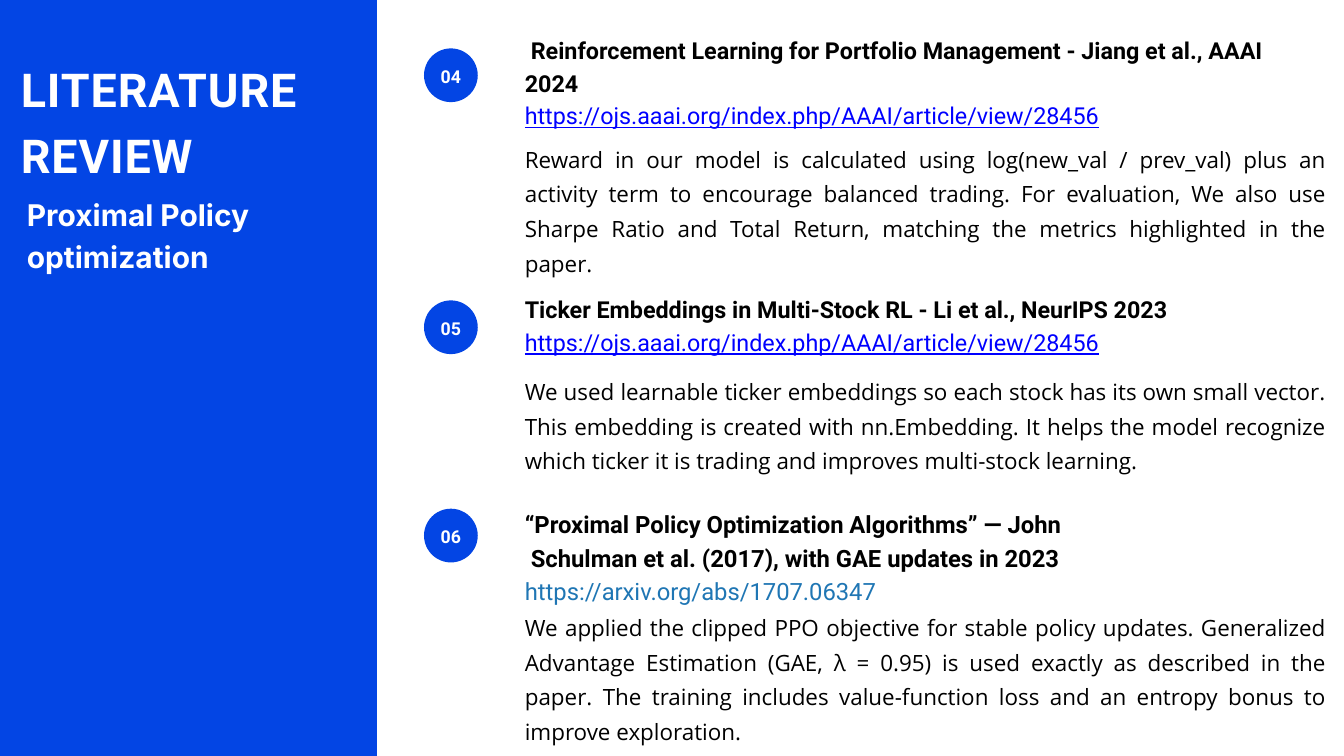
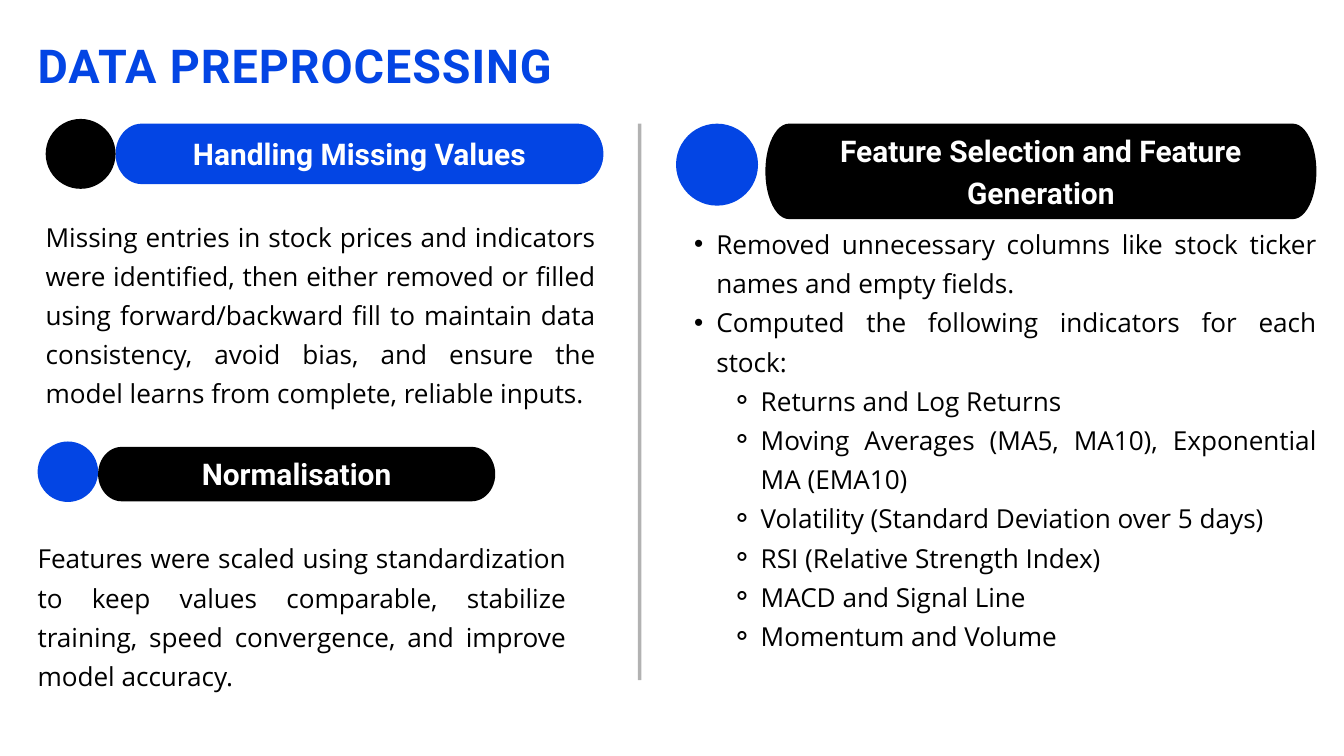
from lxml import etree
from pptx import Presentation
from pptx import util as u
from pptx.dml import color
from pptx.enum import shapes, text
from pptx.oxml import ns

# Shared look
BLUE, BLACK, WHITE = "0345E4", "000000", "FFFFFF"
HEADING, BODY, ACCENT = "Roboto", "Open Sans", "Inter"
LEFT, CENTER, JUSTIFY = (text.PP_ALIGN.LEFT, text.PP_ALIGN.CENTER,
                         text.PP_ALIGN.JUSTIFY)
hex_color = color.RGBColor.from_string

deck = Presentation()
deck.slide_width, deck.slide_height = u.Inches(20), u.Inches(11.25)
COLUMN = deck.slide_width // 20
ROW = deck.slide_height / 11.25


def grid(left, top, width, height):
    """Turn columns and rows into slide lengths."""
    return (int(left * COLUMN), int(top * ROW),
            int(width * COLUMN), int(height * ROW))


def write(frame, lines, size, spacing, font=BODY, ink=BLACK, bold=False,
          align=LEFT, anchor=text.MSO_ANCHOR.TOP, inset=0):
    """Fill a text frame with evenly styled paragraphs."""
    frame.word_wrap = True
    frame.auto_size = text.MSO_AUTO_SIZE.NONE
    frame.vertical_anchor = anchor
    frame.margin_left = frame.margin_right = u.Inches(inset)
    frame.margin_top = frame.margin_bottom = u.Inches(inset)
    frame.text = "\n".join(lines)
    for line in frame.paragraphs:
        line.alignment, line.line_spacing = align, u.Pt(spacing)
        line.space_before = u.Pt(0)
        line.font.name, line.font.size, line.font.bold = font, u.Pt(size), bold
        line.font.color.rgb = hex_color(ink)


review = deck.slides.add_slide(deck.slide_layouts[5])
preprocessing = deck.slides.add_slide(deck.slide_layouts[1])
painted = []

# Titles of both slides
for slide, title, area, ink in [
    (review, "LITERATURE REVIEW", (0.31, 0.77, 5, 1.9), WHITE),
    (preprocessing, "DATA PREPROCESSING", (0.56, 0.41, 11.78, 0.93), BLUE),
]:
    heading = slide.shapes.title
    heading.left, heading.top, heading.width, heading.height = grid(*area)
    write(heading.text_frame, [title], 50, 70, HEADING, ink, True)
    heading.text_frame.paragraphs[0].runs[0]._r.get_or_add_rPr().set("spc", "100")

# Review: side panel behind the title, with the topic below it
panel = review.shapes.add_shape(shapes.MSO_SHAPE.RECTANGLE,
                                *grid(0, 0, 5.61, 11.25))
review.shapes.element.insert(2, panel.element)
painted.append((panel, BLUE))
topic = review.shapes.add_textbox(*grid(0.4, 2.84, 5.43, 1.21))
write(topic.text_frame, ["Proximal Policy optimization"], 32, 44.8,
      ACCENT, WHITE, True)

# Review: numbered papers (badge top, reference top, summary top, size,
# reference lines, the line that is indented, summary)
papers = [
    ("04", 0.72, 0.47, 2.05, 25,
     ["Reinforcement Learning for Portfolio Management - Jiang et al., AAAI 2024",
      "https://ojs.aaai.org/index.php/AAAI/article/view/28456"], 0,
     "Reward in our model is calculated using log(new_val / prev_val) plus an "
     "activity term to encourage balanced trading. For evaluation, We also use "
     "Sharpe Ratio and Total Return, matching the metrics highlighted in the "
     "paper."),
    ("05", 4.47, 4.33, 5.51, 25,
     ["Ticker Embeddings in Multi-Stock RL - Li et al., NeurIPS 2023",
      "https://ojs.aaai.org/index.php/AAAI/article/view/28456"], None,
     "We used learnable ticker embeddings so each stock has its own small "
     "vector. This embedding is created with nn.Embedding. It helps the model "
     "recognize which ticker it is trading and improves multi-stock learning."),
    ("06", 7.57, 7.52, 9.02, 25.45,
     ["“Proximal Policy Optimization Algorithms” — John",
      "Schulman et al. (2017), with GAE updates in 2023",
      "https://arxiv.org/abs/1707.06347"], 1,
     "We applied the clipped PPO objective for stable policy updates. "
     "Generalized Advantage Estimation (GAE, λ = 0.95) is used exactly as "
     "described in the paper. The training includes value-function loss and an "
     "entropy bonus to improve exploration."),
]
for (number, badge_top, reference_top, summary_top, size, lines, indented,
     finding) in papers:
    badge = review.shapes.add_shape(shapes.MSO_SHAPE.OVAL,
                                    *grid(6.31, badge_top, 0.8, 0.8))
    painted.append((badge, BLUE))
    write(badge.text_frame, [number], 19, 26.6, HEADING, WHITE, True,
          CENTER, text.MSO_ANCHOR.MIDDLE)
    badge.text_frame.margin_bottom = u.Inches(0.02)

    reference = review.shapes.add_textbox(*grid(7.81, reference_top, 11.46, 1.5))
    write(reference.text_frame, lines, size, size * 1.4, HEADING, bold=True)
    if indented is not None:
        start = reference.text_frame.paragraphs[indented]
        start._p.get_or_add_pPr().set("indent", str(u.Inches(0.09)))
    address = reference.text_frame.paragraphs[-1].font
    address.bold = False
    address.underline = number != "06"
    address.color.rgb = hex_color("1F76B4" if number == "06" else "0000FF")

    summary = review.shapes.add_textbox(*grid(7.81, summary_top, 11.92, 2.01))
    write(summary.text_frame, [finding], 24, 37.2, align=JUSTIFY)

# Preprocessing: divider
divider = preprocessing.shapes.add_connector(
    shapes.MSO_CONNECTOR.STRAIGHT,
    *grid(9.52, 1.84, 9.52, 10.12))
divider.line.width = u.Pt(3.75)
divider.line.color.rgb = hex_color(BLACK)
shade = divider.element.find(".//" + ns.qn("a:srgbClr"))
etree.SubElement(shade, ns.qn("a:alpha"), val="30000")
etree.SubElement(divider.element.spPr, ns.qn("a:effectLst"))

# Preprocessing: dot and round-ended band for each step
steps = [
    ("Handling Missing Values", (1.72, 1.84, 7.26, 0.9), 0.39, BLUE,
     (0.68, 1.77, 1.04), BLACK),
    ("Normalisation", (1.46, 6.65, 5.91, 0.81), 0.35, BLACK,
     (0.56, 6.57, 0.9), BLUE),
    ("Feature Selection and Feature Generation", (11.39, 1.84, 8.2, 1.42), 0.35,
     BLACK, (10.06, 1.84, 1.22), BLUE),
]
for step, area, bulge, band_fill, (dot_left, dot_top, diameter), dot_fill in steps:
    left, top, width, height = grid(*area)
    right, bottom, half = left + width, top + height, height // 2
    curve = int(bulge * COLUMN)
    outline = preprocessing.shapes.build_freeform(right - curve, top)
    outline.add_line_segments([
        (right, top + half), (right - curve, bottom), (left + curve, bottom),
        (left, top + half), (left + curve, top)])
    band = outline.convert_to_shape()
    # Bend the four slanted edges into quarter ellipses
    edges = band.element.findall(".//" + ns.qn("a:lnTo"))
    for edge, angle in zip(edges[:2] + edges[3:5], (270, 0, 90, 180)):
        arc = etree.Element(ns.qn("a:arcTo"), wR=str(curve), hR=str(half),
                            stAng=str(angle * 60000), swAng=str(90 * 60000))
        edge.getparent().replace(edge, arc)
    write(band.text_frame, [step], 32, 44.8, HEADING, WHITE, True,
          CENTER, text.MSO_ANCHOR.MIDDLE, 0.06)
    band.text_frame.margin_bottom = u.Inches(0.15)

    dot = preprocessing.shapes.add_shape(
        shapes.MSO_SHAPE.OVAL, *grid(dot_left, dot_top, diameter, diameter))
    painted += [(band, band_fill), (dot, dot_fill)]

# Preprocessing: explanations
for area, explanation in [
    ((0.68, 3.17, 8.18, 2.92),
     "Missing entries in stock prices and indicators were identified, then "
     "either removed or filled using forward/backward fill to maintain data "
     "consistency, avoid bias, and ensure the model learns from complete, "
     "reliable inputs."),
    ((0.56, 7.96, 7.86, 2.82),
     "Features were scaled using standardization to keep values comparable, "
     "stabilize training, speed convergence, and improve model accuracy."),
]:
    note = preprocessing.shapes.add_textbox(*grid(*area))
    write(note.text_frame, [explanation], 28, 42, align=JUSTIFY)

# Preprocessing: feature list, the indicators one level down
features = [
    "Removed unnecessary columns like stock ticker names and empty fields.",
    "Computed the following indicators for each stock:",
]
indicators = [
    "Returns and Log Returns",
    "Moving Averages (MA5, MA10), Exponential MA (EMA10)",
    "Volatility (Standard Deviation over 5 days)",
    "RSI (Relative Strength Index)",
    "MACD and Signal Line",
    "Momentum and Volume",
]
listing = preprocessing.placeholders[1]
listing.left, listing.top, listing.width, listing.height = grid(10, 3.28, 9.59, 6.82)
write(listing.text_frame, features + indicators, 28, 42, align=JUSTIFY)
for position, item in enumerate(listing.text_frame.paragraphs):
    item.level = int(position >= len(features))
    margin, hanging, mark = [(0.66, 0.33, "•"), (1.32, 0.44, "⚬")][item.level]
    properties = item._p.get_or_add_pPr()
    properties.set("marL", str(u.Inches(margin)))
    properties.set("indent", str(-u.Inches(hanging)))
    bullet = etree.Element(ns.qn("a:buChar"), char=mark)
    properties.find(ns.qn("a:defRPr")).addprevious(bullet)

# Flat fills for every panel, badge, band and dot
for shape, fill in painted:
    shape.shadow.inherit = False
    shape.fill.solid()
    shape.fill.fore_color.rgb = hex_color(fill)
    shape.line.fill.background()

deck.save("out.pptx")
